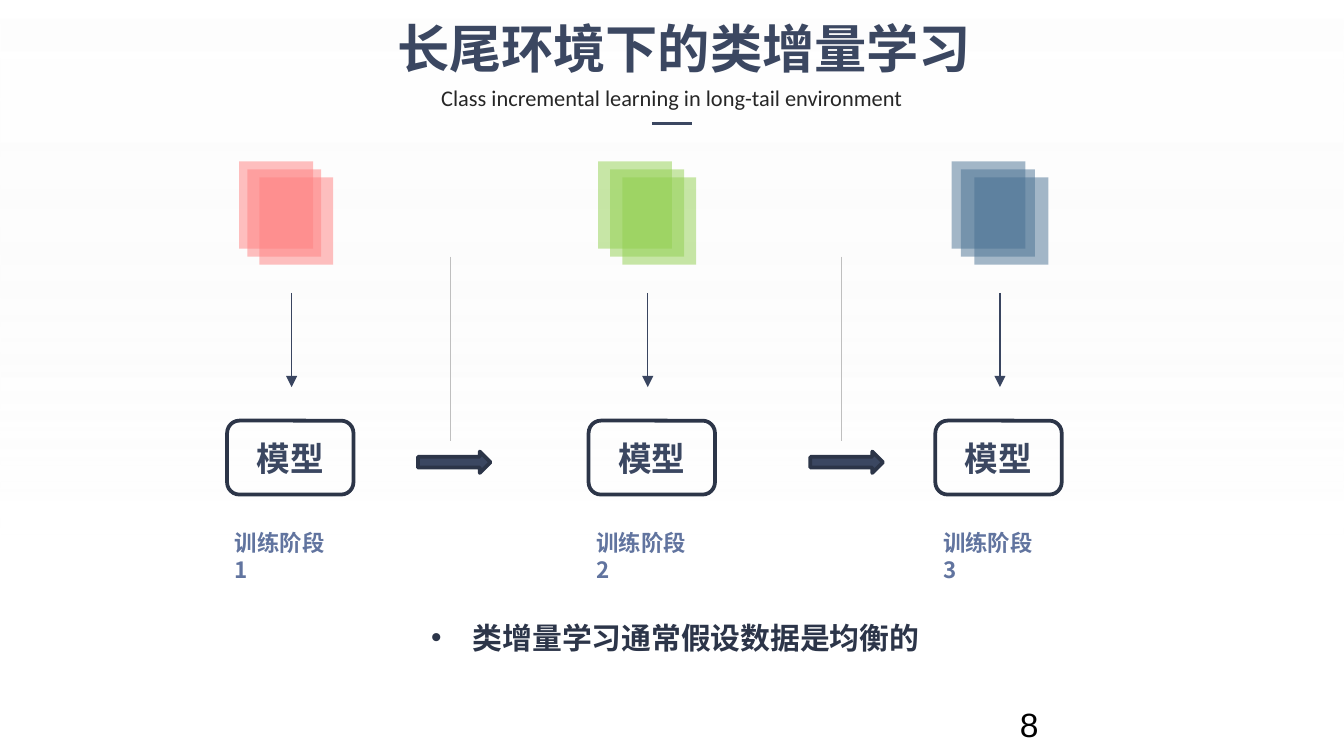
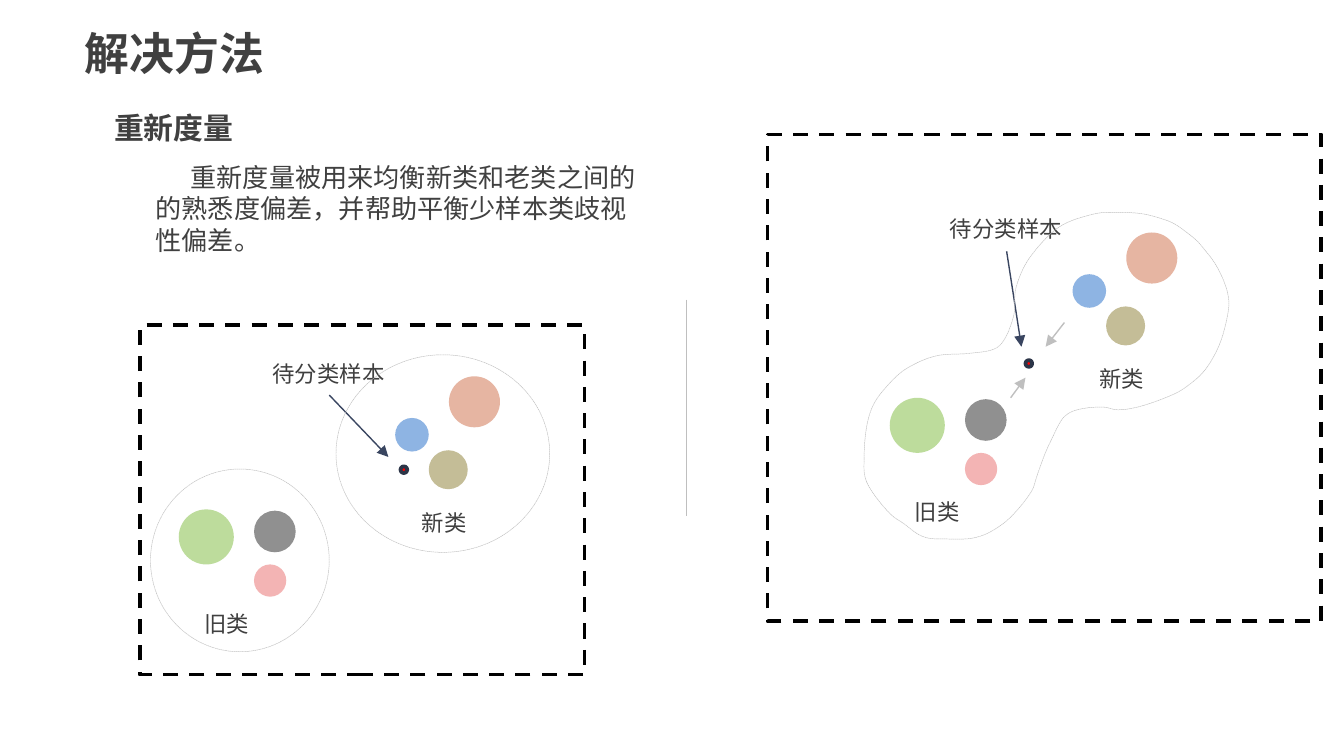
"""Build two slides on class incremental learning with long-tail data."""
from dataclasses import dataclass
from lxml.etree import SubElement
from pptx import Presentation
from pptx.dml.color import RGBColor
from pptx.enum.dml import MSO_LINE
from pptx.enum.shapes import MSO_CONNECTOR, MSO_SHAPE
from pptx.enum.text import MSO_ANCHOR, MSO_AUTO_SIZE, PP_ALIGN
from pptx.oxml.ns import qn
from pptx.util import Pt

PX = 9144
WIDE, HIGH = 1000 * PX, 1000 * PX * 9 // 16
RECT, ROUND, OVAL = MSO_SHAPE.RECTANGLE, MSO_SHAPE.ROUNDED_RECTANGLE, MSO_SHAPE.OVAL
ARROW, STRAIGHT = MSO_SHAPE.RIGHT_ARROW, MSO_CONNECTOR.STRAIGHT
DASH, DOTS = MSO_LINE.DASH, MSO_LINE.SQUARE_DOT
LEFT, MID = PP_ALIGN.LEFT, PP_ALIGN.CENTER
TOP, CENTER = MSO_ANCHOR.TOP, MSO_ANCHOR.MIDDLE


@dataclass(frozen=True)
class Theme:
    """Colours, fonts and type sizes."""
    cjk: str = "Noto Sans CJK SC"
    latin: str = "Calibri"
    plain: str = "Arial"
    navy: str = "3B4761"
    edge: str = "2C3548"
    ink: str = "404040"
    dark: str = "262626"
    black: str = "000000"
    white: str = "FFFFFF"
    mist: str = "F2F2F2"
    pale: str = "BFBFBF"
    arrow: str = "394560"
    point: str = "2C3549"
    stage: str = "61749F"
    red: str = "FF0000"
    hero: int = 28
    head: int = 24
    big: int = 18
    sub: int = 16
    body: int = 14
    small: int = 12


T = Theme()

STAGES = [
    {"name": "训练阶段 1", "color": "FF8181", "cards": (178, 184, 193), "model": 169, "flow": 217},
    {"name": "训练阶段 2", "color": "92D050", "cards": (445, 454, 463), "model": 438, "flow": 482},
    {"name": "训练阶段 3", "color": "497193", "cards": (708, 715, 725), "model": 696, "flow": 744},
]
STEPS = [(311, 335), (603, 626)]

OLD = {"name": "旧类", "label": (9, 70),
       "balls": [(56, 41, 24, "F3B4B4"), (0, 0, 41, "BDDC9C"), (56, 1, 31, "909090")]}
NEW = {"name": "新类", "label": (10, 94),
       "balls": [(0, 31, 25, "8EB4E3"), (40, 0, 38, "E6B5A2"), (25, 55, 29, "C4BD97")]}
PANELS = [
    {"frame": (104, 242, 331, 260), "old": (133, 379), "new": (294, 280),
     "dot": (298, 347), "note": (193, 263), "arrow": (245, 294, 289, 340)},
    {"frame": (571, 100, 412, 362), "old": (662, 296), "new": (798, 173),
     "dot": (763, 268), "note": (697, 155), "arrow": (749, 187, 760, 258)},
]
RINGS = [(250, 264, 159, 147), (112, 349, 133, 136)]
PULLS = [(752, 296, 763, 281), (792, 240, 778, 258)]
BLOB = [
    (645, 359), (643, 339), (646, 312), (656, 292), (675, 274), (696, 265), (721, 263),
    (744, 257), (754, 236), (756, 214), (766, 192), (784, 172), (804, 162), (825, 158),
    (849, 159), (868, 164), (883, 173), (894, 183), (904, 196), (912, 213), (914, 231),
    (909, 252), (901, 269), (889, 283), (872, 294), (850, 302), (832, 305), (821, 303),
    (806, 304), (792, 310), (781, 330), (771, 356), (766, 368), (746, 390), (726, 400),
    (700, 401), (686, 399), (673, 390), (662, 382),
]


def rgb(code):
    """Turn a hex code into a colour."""
    return RGBColor.from_string(code)


def fade(node, part):
    """Give each colour under a node an opacity in percent."""
    for tint in node.iter(qn("a:srgbClr")):
        SubElement(tint, qn("a:alpha"), val=str(part * 1000))


def ink(line, color, width, dash=None):
    """Format a line."""
    line.color.rgb = rgb(color)
    line.width = Pt(width)
    if dash:
        line.dash_style = dash


def place(item, x, y, w, h):
    """Move and size a shape in px."""
    item.left, item.top, item.width, item.height = (v * PX for v in (x, y, w, h))


def write(item, words, size, color, bold=False, face=T.cjk, align=LEFT,
          anchor=TOP, wrap=True, margin=0, indent=0, bullet=None):
    """Fill a shape with one formatted paragraph."""
    frame = item.text_frame
    frame.auto_size = MSO_AUTO_SIZE.NONE
    frame.word_wrap = wrap
    frame.vertical_anchor = anchor
    frame.text = words
    para = frame.paragraphs[0]
    para.alignment = align
    props = para._p.get_or_add_pPr()
    if indent:
        props.set("marL", str(margin * PX))
        props.set("indent", str(indent * PX))
    if bullet:
        SubElement(props, qn("a:buFont"), typeface=T.plain)
        SubElement(props, qn("a:buChar"), char=bullet)
    font = para.font
    font.size, font.bold, font.name = Pt(size), bold, face
    font.color.rgb = rgb(color)
    SubElement(props.find(qn("a:defRPr")), qn("a:ea"), typeface=face)


def label(slide, words, box, size, color, **look):
    """Add a text box."""
    item = slide.shapes.add_textbox(0, 0, 0, 0)
    place(item, *box)
    write(item, words, size, color, **look)


def title(slide, words, box, size, color, **look):
    """Move and fill the title placeholder."""
    place(slide.shapes.title, *box)
    write(slide.shapes.title, words, size, color, bold=True, **look)


def paint(item, fill=None, line=None):
    """Set the fill and outline of a shape."""
    item.shadow.inherit = False
    if fill:
        item.fill.solid()
        item.fill.fore_color.rgb = rgb(fill)
    else:
        item.fill.background()
    if line:
        ink(item.line, *line)
    else:
        item.line.fill.background()


def shape(slide, kind, box, fill=None, line=None):
    """Add a preset shape."""
    item = slide.shapes.add_shape(kind, *(v * PX for v in box))
    paint(item, fill, line)
    return item


def back(item, page):
    """Send a shape to the back of a slide or layout."""
    page.shapes._spTree.insert(2, item._element)


def link(slide, ends, color, width=0.75, tip=False):
    """Add a straight line or arrow."""
    item = slide.shapes.add_connector(STRAIGHT, *(v * PX for v in ends))
    ink(item.line, color, width)
    props = item._element.spPr
    if tip:
        SubElement(props.find(qn("a:ln")), qn("a:tailEnd"), type="triangle")
    SubElement(props, qn("a:effectLst"))


def shade(slide):
    """Lay a faint gradient on the layout that the slides share."""
    item = shape(slide, RECT, (0, 0, 1, 1))
    item.width, item.height = WIDE, HIGH
    item.fill.gradient()
    item.fill.gradient_angle = 270
    stops = item.fill.gradient_stops
    for stop, spot, color, part in zip(stops, (0, 0.71), (T.white, T.mist), (55, 0)):
        stop.position = spot
        stop.color.rgb = rgb(color)
        fade(stop._gs, part)
    back(item, slide.slide_layout)


def blob(slide, knots, line):
    """Draw a closed outline of one smooth curve per knot."""
    pen = slide.shapes.build_freeform(*knots[0], scale=PX)
    pen.add_line_segments(knots[1:] + knots[:1], close=True)
    item = pen.convert_to_shape()
    paint(item, line=line)
    west, north = (min(axis) for axis in zip(*knots))
    count = len(knots)
    for i, side in enumerate(list(item._element.iter(qn("a:lnTo")))):
        a, b, c, d = (knots[(i + k) % count] for k in (-1, 0, 1, 2))
        bend = [[q + (r - p) / 6 for p, q, r in zip(a, b, c)],
                [r - (s - q) / 6 for q, r, s in zip(b, c, d)]]
        end = side[0]
        unit = 1 if int(side.getparent().get("w")) < PX else PX
        side.tag = qn("a:cubicBezTo")
        for x, y in bend:
            spot = SubElement(side, qn("a:pt"), x=str(round((x - west) * unit)),
                              y=str(round((y - north) * unit)))
            end.addprevious(spot)


def stages(slide):
    """Draw the three training stages."""
    shade(slide)
    title(slide, "长尾环境下的类增量学习", (283, 7, 452, 57), T.hero, T.navy,
          align=MID, wrap=False)
    label(slide, "Class incremental learning in long-tail environment",
          (317, 58, 366, 30), T.small, T.dark, face=T.latin, align=MID, wrap=False)
    link(slide, (485, 92, 515, 92), T.navy, 1.5)
    label(slide, "8", (749, 519, 225, 30), T.big, T.black, face=T.plain)
    label(slide, "类增量学习通常假设数据是均衡的", (311, 456, 500, 37), T.sub, T.point,
          bold=True, margin=31, indent=-31, bullet="•")
    for stage in STAGES:
        for i, x in enumerate(stage["cards"]):
            card = shape(slide, RECT, (x, 120 + 6 * i, 55, 65), stage["color"])
            fade(card._element.spPr, 50)
        left, mid = stage["model"], stage["flow"]
        link(slide, (mid, 218, mid, 288), T.arrow, tip=True)
        model = shape(slide, ROUND, (left, 313, 94, 55), line=(T.edge, 2))
        write(model, "模型", T.big, T.navy, bold=True, align=MID, anchor=CENTER)
        label(slide, stage["name"], (left - 4, 389, 97, 30), T.small, T.stage, bold=True)
    for left, mid in STEPS:
        link(slide, (mid, 191, mid, 328), T.pale)
        shape(slide, ARROW, (left, 336, 54, 16), T.navy, (T.edge, 2))


def group(slide, kind, x, y):
    """Draw the balls of a class group and its name."""
    for dx, dy, size, color in kind["balls"]:
        shape(slide, OVAL, (x + dx, y + dy, size, size), color)
    dx, dy = kind["label"]
    label(slide, kind["name"], (x + dx, y + dy, 104, 30), T.small, T.ink)


def method(slide):
    """Draw the re-metric method before and after."""
    back(shape(slide, RECT, (0, 0, 1012, 588), T.white), slide)
    title(slide, "解决方法", (53, 14, 306, 50), T.head, T.ink)
    label(slide, "重新度量", (75, 77, 195, 37), T.sub, T.ink, bold=True)
    label(slide, "重新度量被用来均衡新类和老类之间的的熟悉度偏差，并帮助平衡少样本类歧视性偏差。",
          (106, 115, 386, 81), T.body, T.ink, indent=26)
    link(slide, (511, 223, 511, 384), T.pale)
    for panel in PANELS:
        shape(slide, RECT, panel["frame"], line=(T.black, 2, DASH))
        group(slide, OLD, *panel["old"])
        group(slide, NEW, *panel["new"])
        shape(slide, OVAL, (*panel["dot"], 5, 5), T.red, (T.edge, 2))
        link(slide, panel["arrow"], T.arrow, tip=True)
        label(slide, "待分类样本", (*panel["note"], 110, 30), T.small, T.ink)
    thin = (T.pale, 0.25, DOTS)
    for ring in RINGS:
        shape(slide, OVAL, ring, line=thin)
    blob(slide, BLOB, thin)
    for pull in PULLS:
        link(slide, pull, T.pale, tip=True)


def main():
    """Build and save the deck."""
    deck = Presentation()
    deck.slide_width, deck.slide_height = WIDE, HIGH
    for draw in (stages, method):
        draw(deck.slides.add_slide(deck.slide_layouts[5]))
    deck.save("out.pptx")


if __name__ == "__main__":
    main()
